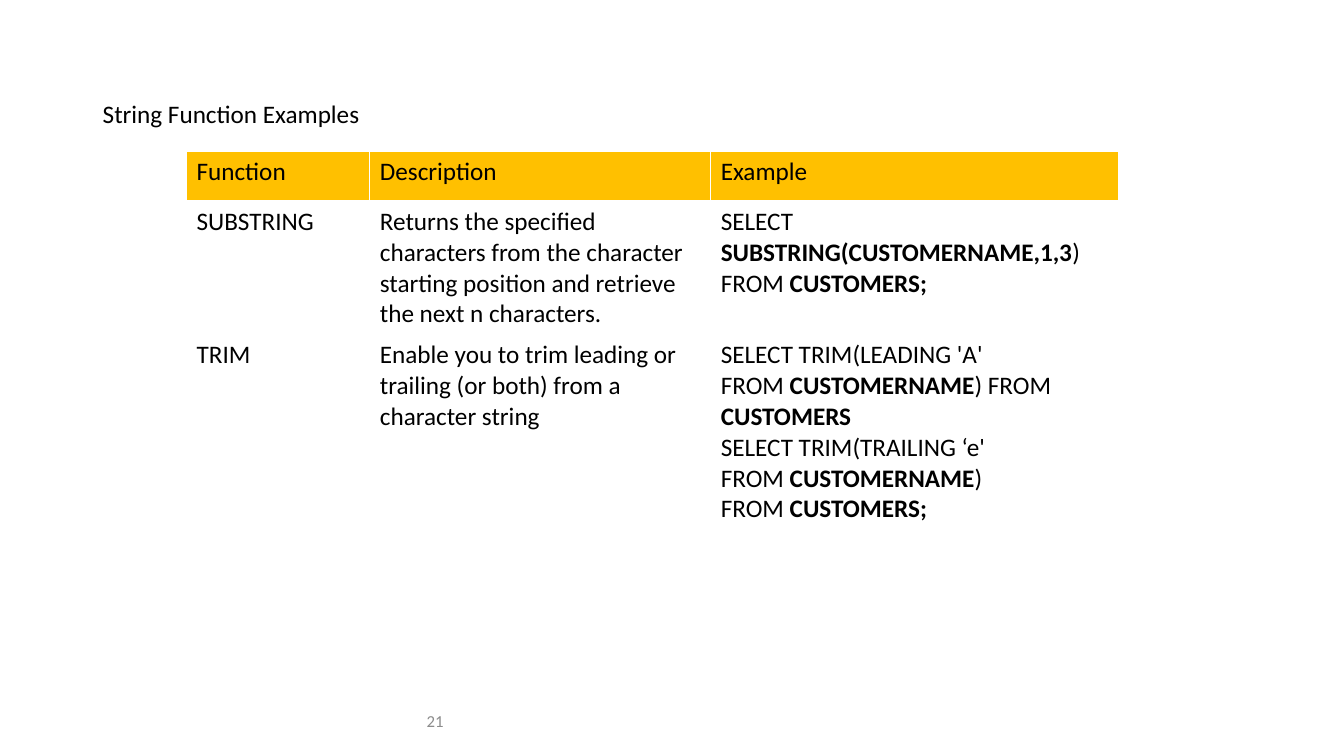
"""Builds a slide with a table of SQL string function examples."""
from dataclasses import dataclass

from lxml.etree import fromstring
from pptx import Presentation
from pptx.dml.color import RGBColor
from pptx.enum.text import MSO_ANCHOR, PP_ALIGN
from pptx.oxml.ns import nsdecls
from pptx.util import Cm, Pt


@dataclass(frozen=True)
class Theme:
    font: str = "Calibri"
    ink: str = "000000"
    muted: str = "8C8C8C"
    header: str = "FFC000"
    rule: str = "FFFFFF"
    body_size: int = 18
    number_size: int = 12


theme = Theme()


def add_run(paragraph, text, bold=False, size=theme.body_size, color=theme.ink):
    run = paragraph.add_run()
    run.text = text
    run.font.name = theme.font
    run.font.size = Pt(size)
    run.font.bold = bold
    run.font.color.rgb = RGBColor.from_string(color)


def add_label(left, top, width, height):
    frame = slide.shapes.add_textbox(Cm(left), Cm(top), Cm(width), Cm(height)).text_frame
    frame.word_wrap = True
    frame.vertical_anchor = MSO_ANCHOR.MIDDLE
    return frame.paragraphs[0]


deck = Presentation()
deck.slide_width = Cm(33.87)
deck.slide_height = Cm(19.05)
slide = deck.slides.add_slide(deck.slide_layouts[6])

title = add_label(2.34, 1.02, 29.21, 3.68)
add_run(title, "String Function Examples")

slide_number = add_label(0, 17.65, 11.43, 1.02)
slide_number.alignment = PP_ALIGN.RIGHT
add_run(slide_number, "21", size=theme.number_size, color=theme.muted)

PLAIN, BOLD = False, True
content = [
    [
        [[("Function", PLAIN)]],
        [[("Description", PLAIN)]],
        [[("Example", PLAIN)]],
    ],
    [
        [[("SUBSTRING", PLAIN)]],
        [[("Returns the specified characters from the character starting "
           "position and retrieve the next n characters.", PLAIN)]],
        [
            [("SELECT ", PLAIN), ("SUBSTRING(CUSTOMERNAME,1,3", BOLD), (")", PLAIN)],
            [("FROM ", PLAIN), ("CUSTOMERS;", BOLD)],
        ],
    ],
    [
        [[("TRIM", PLAIN)]],
        [[("Enable you to trim leading or trailing (or both) from a "
           "character string", PLAIN)]],
        [
            [("SELECT TRIM(LEADING 'A'", PLAIN)],
            [("FROM ", PLAIN), ("CUSTOMERNAME", BOLD), (") FROM ", PLAIN),
             ("CUSTOMERS", BOLD)],
            [("SELECT TRIM(TRAILING ‘e'", PLAIN)],
            [("FROM ", PLAIN), ("CUSTOMERNAME", BOLD), (")", PLAIN)],
            [("FROM ", PLAIN), ("CUSTOMERS;", BOLD)],
        ],
    ],
]
column_widths = [4.62, 8.59, 10.29]
row_heights = [1.27, 3.36, 4.9]

functions = slide.shapes.add_table(
    len(row_heights), len(column_widths),
    Cm(4.7), Cm(3.81), Cm(sum(column_widths)), Cm(sum(row_heights)),
).table
functions.horz_banding = False
for column, width in zip(functions.columns, column_widths):
    column.width = Cm(width)
for row, height in zip(functions.rows, row_heights):
    row.height = Cm(height)

for row_index, entries in enumerate(content):
    for column_index, lines in enumerate(entries):
        cell = functions.cell(row_index, column_index)
        properties = cell._tc.get_or_add_tcPr()
        for side in ("lnL", "lnR", "lnT", "lnB"):
            header_edge = (row_index, side) in ((0, "lnB"), (1, "lnT"))
            properties.append(fromstring(
                f'<a:{side} {nsdecls("a")} w="{Pt(3 if header_edge else 1)}"><a:solidFill>'
                f'<a:srgbClr val="{theme.rule}"/></a:solidFill></a:{side}>'
            ))
        if row_index == 0:
            cell.fill.solid()
            cell.fill.fore_color.rgb = RGBColor.from_string(theme.header)
        else:
            cell.fill.background()
        for line_index, runs in enumerate(lines):
            frame = cell.text_frame
            paragraph = frame.add_paragraph() if line_index else frame.paragraphs[0]
            for text, bold in runs:
                add_run(paragraph, text, bold)

deck.save("out.pptx")
